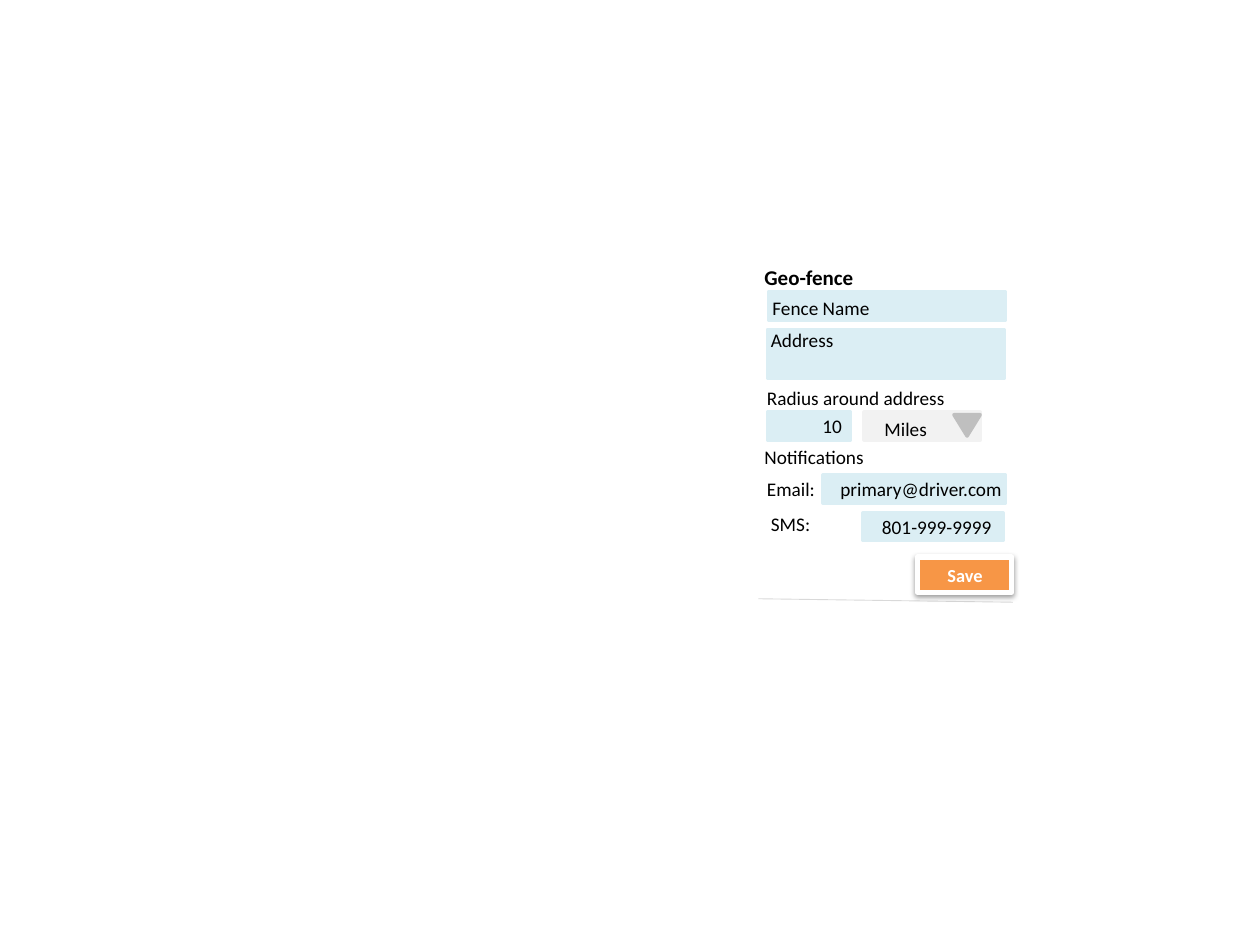
from lxml import etree
from pptx import Presentation
from pptx.dml.color import RGBColor
from pptx.enum.shapes import MSO_CONNECTOR, MSO_SHAPE
from pptx.enum.text import MSO_AUTO_SIZE, PP_ALIGN
from pptx.oxml.ns import qn
from pptx.util import Cm, Pt

RECT = MSO_SHAPE.RECTANGLE
ARROW = MSO_SHAPE.ISOSCELES_TRIANGLE
LINE = MSO_CONNECTOR.STRAIGHT
FIT = MSO_AUTO_SIZE.SHAPE_TO_FIT_TEXT
LEFT, CENTER = PP_ALIGN.LEFT, PP_ALIGN.CENTER

COLORS = {
    "field": "DBEEF4",
    "list": "F2F2F2",
    "arrow": "BFBFBF",
    "rule": "D9D9D9",
    "button": "F79646",
    "white": "FFFFFF",
    "black": "000000",
}
ROW = 0.56
LABEL = 0.73

FIELDS = [
    (15.49, 5.89, 4.78, ROW),
    (15.47, 6.65, 4.78, 0.97),
    (15.47, 8.31, 1.68, ROW),
    (16.59, 9.58, 3.68, ROW),
    (17.4, 10.34, 2.82, ROW),
]
LABELS = [
    ("Fence Name", 15.32, 5.84, 2.49),
    ("Address", 15.29, 6.5, 1.78),
    ("Radius around address", 15.21, 7.67, 4.11),
    ("10", 16.33, 8.23, 0.91),
    ("Miles", 17.58, 8.28, 1.37),
    ("Notifications", 15.16, 8.86, 2.54),
    ("Email:", 15.21, 9.5, 1.47),
    ("primary@driver.com", 16.69, 9.5, 3.84),
    ("SMS:", 15.29, 10.21, 1.32),
    ("801-999-9999", 17.53, 10.26, 2.77),
]


def rgb(name):
    """Return the named colour."""
    return RGBColor.from_string(COLORS[name])


def add_box(shapes, box, fill, edge=None, width=2, kind=RECT):
    """Add a filled shape with an edge, by default of the same colour."""
    shape = shapes.add_shape(kind, *map(Cm, box))
    shape.shadow.inherit = False
    shape.fill.solid()
    shape.fill.fore_color.rgb = rgb(fill)
    shape.line.color.rgb = rgb(edge or fill)
    shape.line.width = Pt(width)
    return shape


def add_text(shapes, text, box, size=11, bold=False, color="black",
             align=LEFT, wrap=False):
    """Add one line of text."""
    frame = shapes.add_textbox(*map(Cm, box)).text_frame
    frame.text = text
    frame.word_wrap = wrap
    frame.auto_size = FIT
    para = frame.paragraphs[0]
    para.alignment = align
    font = para.runs[0].font
    font.name = "Calibri"
    font.size = Pt(size)
    font.bold = bold
    font.color.rgb = rgb(color)


def add_rule(shapes, start, end):
    """Add the thin line below the form."""
    rule = shapes.add_connector(LINE, *map(Cm, start + end))
    rule.line.color.rgb = rgb("rule")
    rule.line.width = Pt(0.5)
    etree.SubElement(rule._element.spPr, qn("a:effectLst"))


def add_shade(shape):
    """Give a shape a soft shadow below it."""
    effects = shape._element.spPr.find(qn("a:effectLst"))
    shade = etree.SubElement(
        effects, qn("a:outerShdw"), blurRad=str(Pt(3.1)),
        dist=str(Pt(1.6)), dir="5400000", rotWithShape="0")
    color = etree.SubElement(shade, qn("a:srgbClr"), val=COLORS["black"])
    etree.SubElement(color, qn("a:alpha"), val="38000")


def add_button(shapes, text, left, top):
    """Add a button with its caption as one group."""
    parts = shapes.add_group_shape().shapes
    size = (1.91, 0.71)
    add_shade(add_box(parts, (left, top, *size), "button", "white", 3))
    add_text(parts, text, (left + 0.05, top + 0.02, *size), 10.5, True,
             "white", CENTER, True)


def main():
    """Build the form and save it."""
    deck = Presentation()
    deck.slide_width, deck.slide_height = Cm(25.4), Cm(19.05)
    shapes = deck.slides.add_slide(deck.slide_layouts[6]).shapes
    add_rule(shapes, (15.29, 12.07), (20.42, 12.14))
    for box in FIELDS:
        add_box(shapes, box, "field")
    add_box(shapes, (17.42, 8.31, 2.34, ROW), "list")
    arrow = add_box(shapes, (19.23, 8.36, 0.53, 0.43), "arrow", kind=ARROW)
    arrow.rotation = 180
    add_text(shapes, "Geo-fence", (15.16, 5.21, 2.31, 0.76), 12, True)
    for text, left, top, width in LABELS:
        add_text(shapes, text, (left, top, width, LABEL))
    add_button(shapes, "Save ", 18.49, 11.23)
    deck.save("out.pptx")


if __name__ == "__main__":
    main()
